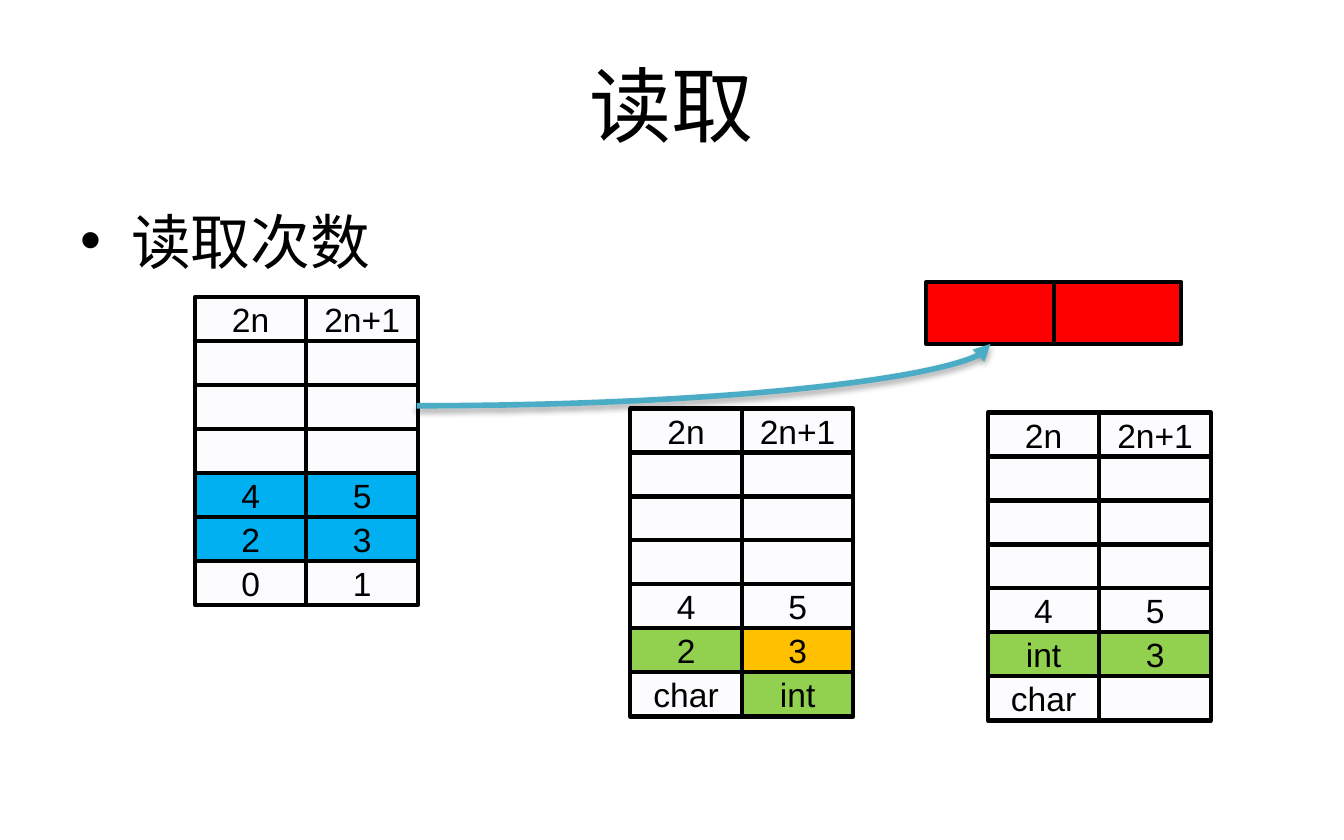
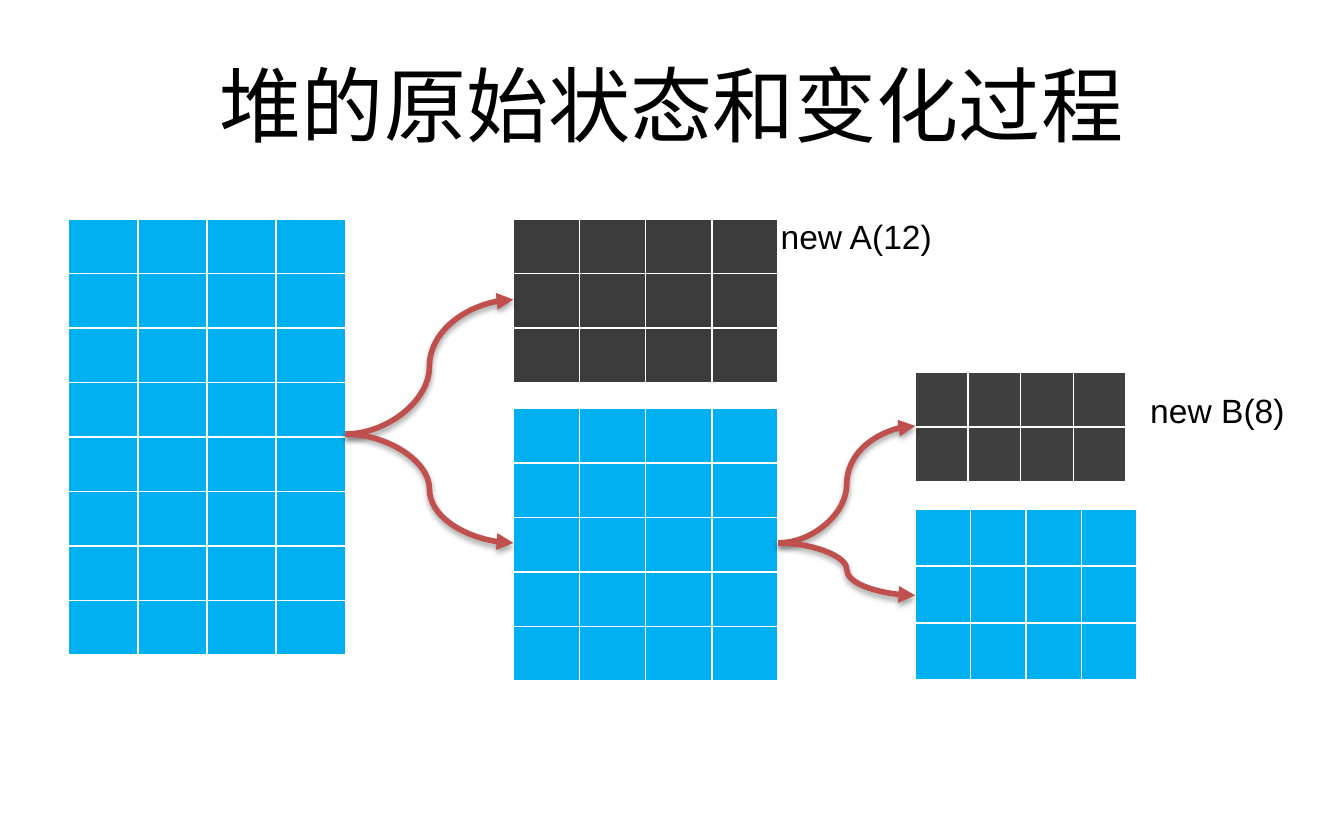
"""Build two slides on reading memory cells and splitting a heap."""
from dataclasses import dataclass, field

from lxml import etree
from pptx import Presentation
from pptx.dml.color import RGBColor
from pptx.enum.shapes import MSO_CONNECTOR, MSO_SHAPE
from pptx.enum.text import MSO_ANCHOR, MSO_AUTO_SIZE, PP_ALIGN
from pptx.oxml import parse_xml
from pptx.oxml.ns import nsdecls, qn
from pptx.util import Inches, Pt

CURVE = MSO_CONNECTOR.CURVE
RECT = MSO_SHAPE.RECTANGLE
MIDDLE = MSO_ANCHOR.MIDDLE
FIT = MSO_AUTO_SIZE.SHAPE_TO_FIT_TEXT
LEFT, CENTER = PP_ALIGN.LEFT, PP_ALIGN.CENTER


@dataclass(frozen=True)
class Theme:
    """Colours, fonts and sizes in points."""
    ink: str = "000000"
    pale: str = "FCFCFF"
    blue: str = "00B0F0"
    green: str = "92D050"
    amber: str = "FFC000"
    red: str = "FF0000"
    teal: str = "4BACC6"
    brick: str = "C0504D"
    coal: str = "3B3B3B"
    slate: str = "3F3F3F"
    head: str = "Calibri"
    sans: str = "Arial"
    title: int = 44
    body: int = 32
    label: int = 18
    edge: float = 2.25
    arrow: float = 3


@dataclass(frozen=True)
class Stack:
    """Two columns of cells, with a tone for each (row, column) that is marked."""
    left: float
    top: float
    tail: tuple
    tones: dict = field(default_factory=dict)


@dataclass(frozen=True)
class Heap:
    """A block of heap with four equal columns."""
    left: float
    top: float
    width: float
    height: float
    rows: int
    tone: str


@dataclass(frozen=True)
class Arrow:
    """A curved arrow between two points."""
    start: tuple
    end: tuple
    tone: str
    preset: str = "curvedConnector3"


THEME = Theme()
CELL_W, CELL_H, PITCH = 0.83, 0.33, 0.327
WIDE_ROW, WIDE_H, WIDE_DX = 1, 0.41, 0.04
HEAD_ROWS = (("2n", "2n+1"), ("", ""), ("", ""), ("", ""), ("4", "5"))
HEAP_COLS = 4

FIRST = Stack(1.45, 2.21, (("2", "3"), ("0", "1")),
              {(row, col): THEME.blue for row in (4, 5) for col in (0, 1)})
SPLIT = Stack(4.69, 3.04, (("2", "3"), ("char", "int")),
              {(5, 0): THEME.green, (5, 1): THEME.amber, (6, 1): THEME.green})
PACKED = Stack(7.35, 3.07, (("int", "3"), ("char", "")),
               {(5, 0): THEME.green, (5, 1): THEME.green})
FETCH = Arrow((3.1, 3.02), (7.37, 2.56), THEME.teal, "curvedConnector2")

HEAPS = (
    Heap(0.51, 1.63, 2.06, 3.2, 8, THEME.blue),
    Heap(3.82, 1.63, 1.97, 1.2, 3, THEME.coal),
    Heap(3.82, 3.04, 1.97, 2, 5, THEME.blue),
    Heap(6.81, 2.77, 1.57, 0.8, 2, THEME.slate),
    Heap(6.81, 3.79, 1.65, 1.27, 3, THEME.blue),
)
LABELS = (("new A(12)", 5.71, 1.56, 1.38), ("new B(8)", 8.46, 2.85, 1.21))
SPLITS = (
    Arrow((2.57, 3.23), (3.82, 2.23), THEME.brick),
    Arrow((5.79, 4.04), (6.81, 3.17), THEME.brick),
    Arrow((2.57, 3.23), (3.82, 4.04), THEME.brick),
    Arrow((5.79, 4.04), (6.81, 4.43), THEME.brick),
)


def rgb(tone: str) -> RGBColor:
    """Turn a hex string into a colour."""
    return RGBColor.from_string(tone)


def write(frame, text: str, *, size: float = THEME.label, font: str = THEME.sans,
          tone: str = THEME.ink, align=LEFT) -> None:
    """Put one formatted line of text in a frame."""
    para = frame.paragraphs[0]
    para.alignment = align
    run = para.add_run()
    run.text = text
    run.font.size = Pt(size)
    run.font.name = font
    run.font.color.rgb = rgb(tone)


def place(shape, left: float, top: float, width: float, height: float) -> None:
    """Move and size a shape in inches."""
    shape.left, shape.top = Inches(left), Inches(top)
    shape.width, shape.height = Inches(width), Inches(height)


def start(deck, layout: int, title: str):
    """Add a slide with its title."""
    slide = deck.slides.add_slide(deck.slide_layouts[layout])
    place(slide.shapes.title, 0.5, 0.25, 9, 1.04)
    write(slide.shapes.title.text_frame, title, size=THEME.title,
          font=THEME.head, align=CENTER)
    return slide


def draw_box(shapes, left: float, top: float, width: float, height: float,
             tone: str, text: str = "") -> None:
    """Draw one outlined cell."""
    box = shapes.add_shape(RECT, Inches(left), Inches(top), Inches(width), Inches(height))
    box.shadow.inherit = False
    box.fill.solid()
    box.fill.fore_color.rgb = rgb(tone)
    box.line.color.rgb = rgb(THEME.ink)
    box.line.width = Pt(THEME.edge)
    if text:
        box.text_frame.word_wrap = False
        box.text_frame.vertical_anchor = MIDDLE
        write(box.text_frame, text, align=CENTER)


def draw_stack(slide, stack: Stack) -> None:
    """Draw a stack of cells as a group, right cell first."""
    shapes = slide.shapes.add_group_shape().shapes
    for row, texts in enumerate(HEAD_ROWS + stack.tail):
        for col in (1, 0):
            wide = (row, col) == (WIDE_ROW, 1)
            extra = WIDE_DX if wide else 0
            draw_box(shapes, stack.left + col * CELL_W - extra, stack.top + row * PITCH,
                     CELL_W + extra, WIDE_H if wide else CELL_H,
                     stack.tones.get((row, col), THEME.pale), texts[col])


def draw_arrow(slide, arrow: Arrow) -> None:
    """Draw a curved arrow with a soft shadow."""
    ends = [Inches(value) for value in arrow.start + arrow.end]
    line = slide.shapes.add_connector(CURVE, *ends)
    line.line.color.rgb = rgb(arrow.tone)
    line.line.width = Pt(THEME.arrow)
    props = line._element.spPr
    props.find(qn("a:prstGeom")).set("prst", arrow.preset)
    etree.SubElement(props.find(qn("a:ln")), qn("a:tailEnd"), type="triangle")
    props.append(parse_xml(
        f'<a:effectLst {nsdecls("a")}><a:outerShdw blurRad="40000" dist="23000" '
        f'dir="5400000" rotWithShape="0"><a:srgbClr val="{THEME.ink}">'
        '<a:alpha val="35000"/></a:srgbClr></a:outerShdw></a:effectLst>'))


def draw_heap(slide, heap: Heap) -> None:
    """Draw a heap block as a table with even rows and columns."""
    table = slide.shapes.add_table(
        heap.rows, HEAP_COLS, Inches(heap.left), Inches(heap.top),
        Inches(heap.width), Inches(heap.height)).table
    for cell in table.iter_cells():
        cell.fill.solid()
        cell.fill.fore_color.rgb = rgb(heap.tone)


def draw_label(slide, text: str, left: float, top: float, width: float) -> None:
    """Draw a label that fits its text."""
    frame = slide.shapes.add_textbox(
        Inches(left), Inches(top), Inches(width), Inches(0.4)).text_frame
    frame.word_wrap = False
    frame.auto_size = FIT
    write(frame, text)


def build_read(deck) -> None:
    """Build the slide on reads."""
    slide = start(deck, 1, "读取")
    body = slide.placeholders[1]
    place(body, 0.5, 1.47, 9, 4.12)
    write(body.text_frame, "读取次数", size=THEME.body, font=THEME.head)
    draw_stack(slide, FIRST)
    pair = slide.shapes.add_group_shape().shapes
    for left in (7.84, 6.89):
        draw_box(pair, left, 2.1, 0.95, 0.46, THEME.red)
    draw_arrow(slide, FETCH)
    for stack in (SPLIT, PACKED):
        draw_stack(slide, stack)


def build_heap(deck) -> None:
    """Build the slide on the heap."""
    slide = start(deck, 5, "堆的原始状态和变化过程")
    for heap in HEAPS:
        draw_heap(slide, heap)
    for label in LABELS:
        draw_label(slide, *label)
    for arrow in SPLITS:
        draw_arrow(slide, arrow)


def main() -> None:
    """Build and save the deck."""
    deck = Presentation()
    deck.slide_width, deck.slide_height = Inches(10), Inches(6.25)
    build_read(deck)
    build_heap(deck)
    deck.save("out.pptx")


main()
